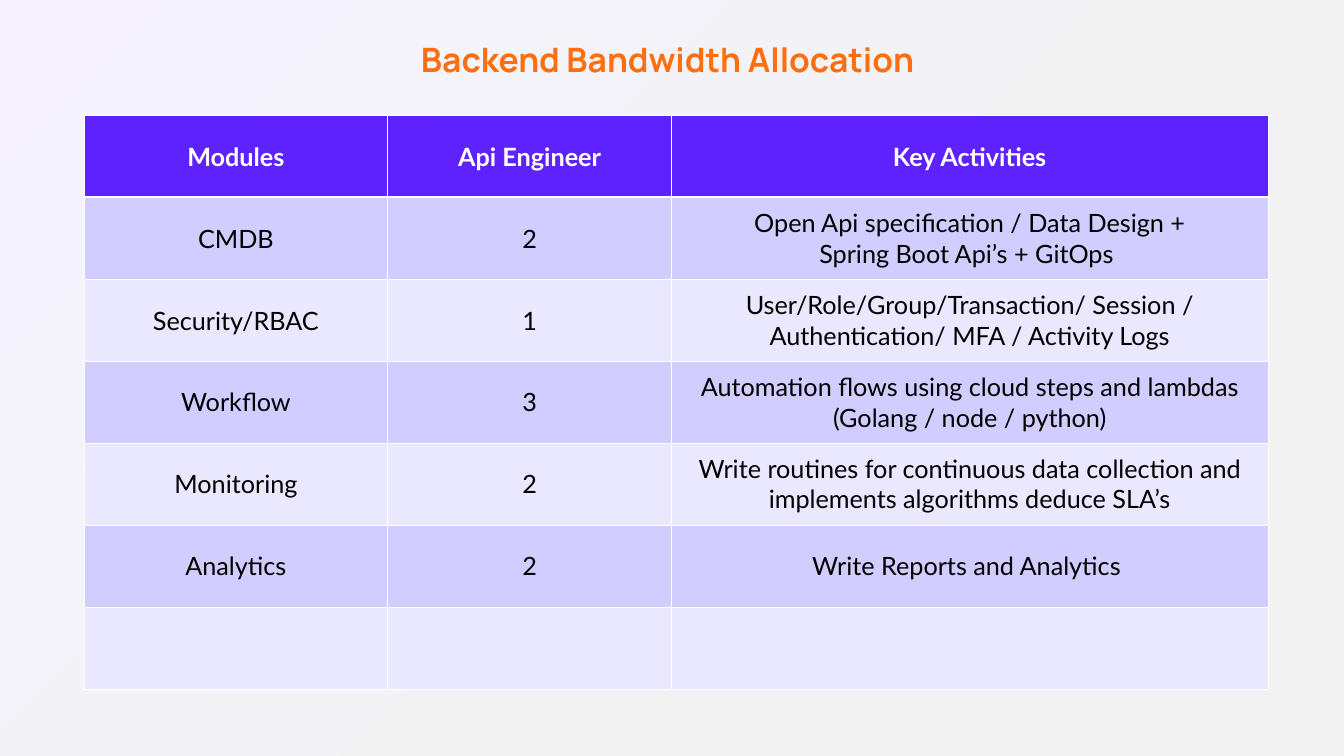
from lxml.etree import SubElement
from pptx import Presentation
from pptx.dml.color import RGBColor
from pptx.enum.text import MSO_ANCHOR, MSO_AUTO_SIZE, PP_ALIGN
from pptx.oxml.ns import qn
from pptx.util import Inches, Pt

COLORS = {
    "backdrop_start": "F6F3FF",
    "backdrop_end": "F2F2F2",
    "title": "FF6E0F",
    "header": "5D22FE",
    "odd_row": "D2CDFF",
    "even_row": "EAE8FF",
    "border": "FFFFFF",
    "header_text": "FFFFFF",
    "body_text": "000000",
}

FORMATS = {
    "title": {"name": "Manrope", "size": Pt(48), "bold": True},
    "header": {"name": "Lato", "size": Pt(36), "bold": True},
    "body": {"name": "Lato", "size": Pt(36), "bold": False},
}

SLIDE_SIZE = (26.66, 15)
TITLE_BOX = (8.25, 0.71, 10.8, 0.91)
ALLOCATION_BOX = (1.67, 2.29, 23.48, 11.38)
COLUMN_SHARES = (6.02, 5.63, 11.83)

ALLOCATIONS = [
    ("Modules", "Api Engineer", "Key Activities"),
    ("CMDB", "2", "Open Api specification / Data Design +\nSpring Boot Api’s + GitOps "),
    ("Security/RBAC", "1",
     "User/Role/Group/Transaction/ Session / Authentication/ MFA / Activity Logs"),
    ("Workflow", "3",
     "Automation flows using cloud steps and lambdas (Golang / node / python)"),
    ("Monitoring", "2",
     "Write routines for continuous data collection and implements algorithms deduce SLA’s"),
    ("Analytics", "2", "Write Reports and Analytics "),
    ("", "", ""),
]


def color(key):
    return RGBColor.from_string(COLORS[key])


def format_text(frame, style, color_key, alignment):
    for paragraph in frame.paragraphs:
        paragraph.alignment = alignment
        for attribute, value in FORMATS[style].items():
            setattr(paragraph.font, attribute, value)
        paragraph.font.color.rgb = color(color_key)


def paint_backdrop(slide):
    fill = slide.background.fill
    fill.gradient()
    fill.gradient_angle = 315
    stops = (("backdrop_start", 0), ("backdrop_end", 0.61))
    for stop, (key, position) in zip(fill.gradient_stops, stops):
        stop.color.rgb = color(key)
        stop.position = position


def place_title(slide, box):
    title = slide.shapes.title
    title.left, title.top, title.width, title.height = map(Inches, box)
    frame = title.text_frame
    frame.text = "Backend Bandwidth Allocation"
    layout = {"word_wrap": True, "auto_size": MSO_AUTO_SIZE.NONE,
              "vertical_anchor": MSO_ANCHOR.MIDDLE}
    for attribute, value in layout.items():
        setattr(frame, attribute, value)
    format_text(frame, "title", "title", PP_ALIGN.LEFT)


def draw_borders(cell, widths):
    properties = cell._tc.get_or_add_tcPr()
    for side, width in widths.items():
        line = SubElement(properties, qn(f"a:ln{side}"), w=str(Pt(width)))
        solid = SubElement(line, qn("a:solidFill"))
        SubElement(solid, qn("a:srgbClr"), val=COLORS["border"])


def place_allocations(slide, box):
    left, top, width, height = box
    table = slide.shapes.add_table(
        len(ALLOCATIONS), len(COLUMN_SHARES), *map(Inches, box)).table
    for column, share in zip(table.columns, COLUMN_SHARES):
        column.width = Inches(width * share / sum(COLUMN_SHARES))
    for row_index, entries in enumerate(ALLOCATIONS):
        table.rows[row_index].height = Inches(height / len(ALLOCATIONS))
        style = "body" if row_index else "header"
        stripe = ("odd_row" if row_index % 2 else "even_row") if row_index else "header"
        borders = {"L": 1, "R": 1, "T": 3 if row_index == 1 else 1,
                   "B": 1 if row_index else 3}
        for column_index, entry in enumerate(entries):
            cell = table.cell(row_index, column_index)
            cell.text = entry
            cell.vertical_anchor = MSO_ANCHOR.MIDDLE
            draw_borders(cell, borders)
            cell.fill.solid()
            cell.fill.fore_color.rgb = color(stripe)
            format_text(cell.text_frame, style, f"{style}_text", PP_ALIGN.CENTER)


def main():
    deck = Presentation()
    deck.slide_width, deck.slide_height = map(Inches, SLIDE_SIZE)
    slide = deck.slides.add_slide(deck.slide_layouts[5])
    paint_backdrop(slide)
    place_title(slide, TITLE_BOX)
    place_allocations(slide, ALLOCATION_BOX)
    deck.save("out.pptx")


if __name__ == "__main__":
    main()
